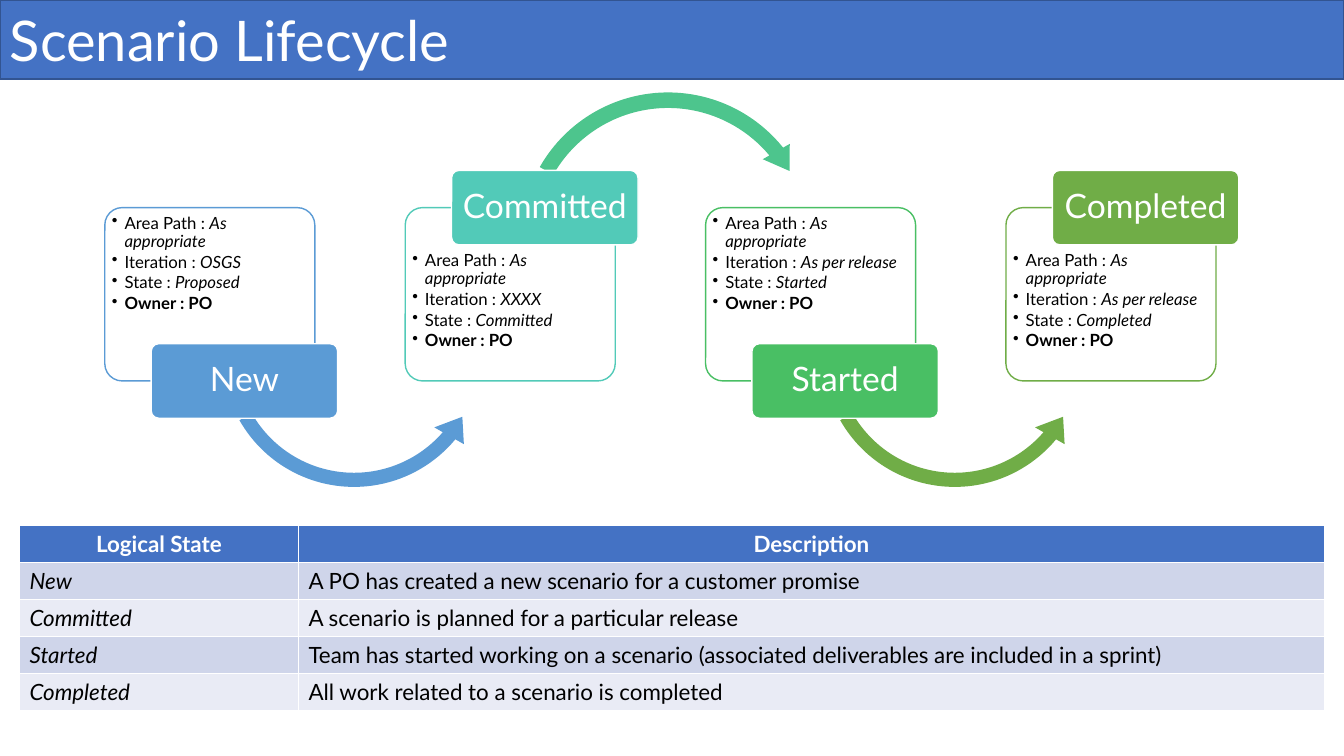
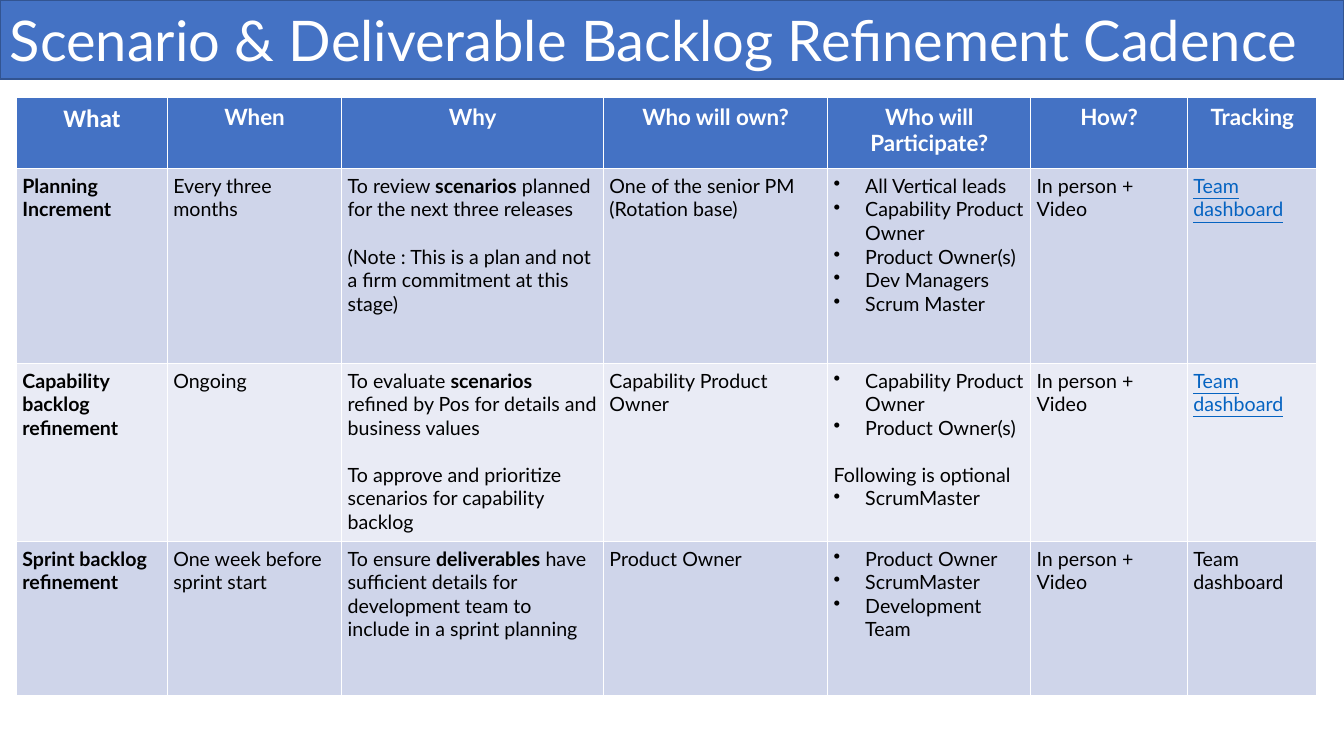
from lxml.etree import SubElement
from pptx import Presentation
from pptx.dml.color import RGBColor
from pptx.enum.shapes import MSO_SHAPE
from pptx.enum.text import MSO_ANCHOR, PP_ALIGN
from pptx.oxml.ns import qn
from pptx.util import Pt

WHITE = RGBColor(0xFF, 0xFF, 0xFF)
BLACK = RGBColor(0, 0, 0)
BLUE = RGBColor(0x44, 0x72, 0xC4)
NAVY = RGBColor(0x32, 0x54, 0x91)
LINK = RGBColor(0x05, 0x63, 0xC1)
DARK = RGBColor(0xCF, 0xD5, 0xEA)
PALE = RGBColor(0xE9, 0xEB, 0xF5)
SKY = RGBColor(0x5B, 0x9B, 0xD5)
TEAL = RGBColor(0x52, 0xCA, 0xB8)
MINT = RGBColor(0x4D, 0xC5, 0x8D)
GREEN = RGBColor(0x49, 0xBF, 0x64)
OLIVE = RGBColor(0x70, 0xAD, 0x47)


def put(frame, lines, size, color=BLACK, mark="bold", indent=0, align=PP_ALIGN.LEFT):
    """Write lines: "•" starts a bullet, "|" a gap above, "*" toggles the mark."""
    frame.word_wrap = True
    for i, line in enumerate(lines):
        para = frame.paragraphs[0] if i == 0 else frame.add_paragraph()
        para.alignment = align
        if line.startswith("|"):
            para.space_before = Pt(16.8)
            line = line[1:]
        if line.startswith("•"):
            props = para._p.get_or_add_pPr()
            props.set("marL", str(Pt(indent)))
            props.set("indent", str(-Pt(indent)))
            SubElement(props, qn("a:buChar")).set("char", "•")
            line = line[1:]
        para.font.name = "Lato"
        para.font.size = Pt(size)
        para.font.color.rgb = color
        for k, part in enumerate(line.split("*")):
            if part:
                run = para.add_run()
                run.text = part
                if k % 2:
                    setattr(run.font, mark, True)


def draw(slide, kind, box, fill, line=None):
    shape = slide.shapes.add_shape(kind, *[Pt(v) for v in box])
    shape.shadow.inherit = False
    shape.fill.solid()
    shape.fill.fore_color.rgb = fill
    if line is None:
        shape.line.fill.background()
    else:
        shape.line.color.rgb = line
        shape.line.width = Pt(1)
    return shape


deck = Presentation()
deck.slide_width = Pt(960)
deck.slide_height = Pt(540)

pages = []
for title in ["Scenario Lifecycle", "Scenario & Deliverable Backlog Refinement Cadence"]:
    page = deck.slides.add_slide(deck.slide_layouts[6])
    band = draw(page, MSO_SHAPE.RECTANGLE, (0, 0, 960, 56.4), BLUE, NAVY)
    band.text_frame.vertical_anchor = MSO_ANCHOR.MIDDLE
    put(band.text_frame, [title], 40, WHITE)
    pages.append(page)
cycle, cadence = pages

states = [
    ("New", "OSGS", "Proposed", SKY, SKY),
    ("Committed", "XXXX", "Committed", TEAL, MINT),
    ("Started", "As per release", "Started", GREEN, OLIVE),
    ("Completed", "As per release", "Completed", OLIVE, None),
]
low = (MSO_SHAPE.LEFT_CIRCULAR_ARROW, 152.6, 202.3, (0.05, 6.4, 24.16, 90.25, 0.06))
high = (MSO_SHAPE.CIRCULAR_ARROW, 60.5, 221.8, (0.05, 5.79, 192.46, 125.76, 0.05))

for i, (name, step, state, color, tint) in enumerate(states):
    left = 74.9 + 214.56 * i
    raised = i % 2 == 1

    card = draw(cycle, MSO_SHAPE.ROUNDED_RECTANGLE, (left, 148.3, 150, 123.8), WHITE, color)
    card.adjustments[0] = 0.1
    frame = card.text_frame
    frame.vertical_anchor = MSO_ANCHOR.TOP
    frame.margin_left = frame.margin_right = Pt(1.5)
    frame.margin_top = Pt(28.1 if raised else 1.5)
    facts = ["•Area Path : *As appropriate*", f"•Iteration : *{step}*",
             f"•State : *{state}*", "•Owner : PO"]
    put(frame, facts, 12, mark="italic", indent=9)
    for para in frame.paragraphs:
        para.line_spacing = 0.9
        para.space_after = Pt(1.8)
    para.font.bold = True

    if tint is not None:
        kind, top, size, bends = high if raised else low
        arrow = draw(cycle, kind, (left + 76.8, top, size, size), tint)
        for k, bend in enumerate(bends):
            arrow.adjustments[k] = bend

    top = 121.7 if raised else 245.5
    label = draw(cycle, MSO_SHAPE.ROUNDED_RECTANGLE, (left + 33.1, top, 133.2, 53.2), color, WHITE)
    label.adjustments[0] = 0.1
    frame = label.text_frame
    frame.margin_left = frame.margin_right = Pt(3.6)
    frame.vertical_anchor = MSO_ANCHOR.MIDDLE
    put(frame, [name], 24, WHITE, align=PP_ALIGN.CENTER)
    frame.paragraphs[0].line_spacing = 0.9

terms = [
    [["Logical State"], ["Description"]],
    [["*New*"], ["A PO has created a new scenario for a customer promise"]],
    [["*Committed*"], ["A scenario is planned for a particular release"]],
    [["*Started*"], ["Team has started working on a scenario "
                     "(associated deliverables are included in a sprint)"]],
    [["*Completed*"], ["All work related to a scenario is completed"]],
]
plan = [
    [["What"], ["When"], ["Why"], ["Who will own?"], ["Who will Participate?"],
     ["How?"], ["Tracking"]],
    [["*Planning Increment*"], ["Every three months"],
     ["To review *scenarios* planned for the next three releases",
      "|(Note : This is a plan and not a firm commitment at this stage)"],
     ["One of the senior PM (Rotation base)"],
     ["•All Vertical leads", "•Capability Product Owner", "•Product Owner(s)",
      "•Dev Managers", "•Scrum Master"],
     ["In person + Video"], ["Team dashboard"]],
    [["*Capability backlog*", "*refinement*"], ["Ongoing"],
     ["To evaluate *scenarios* refined by Pos for details and business values",
      "|To approve and prioritize scenarios for capability backlog"],
     ["Capability Product Owner"],
     ["•Capability Product Owner", "•Product Owner(s)",
      "|Following is optional", "•ScrumMaster"],
     ["In person + Video"], ["Team dashboard"]],
    [["*Sprint backlog*", "*refinement*"], ["One week before sprint start"],
     ["To ensure *deliverables* have sufficient details for development team "
      "to include in a sprint planning"],
     ["Product Owner"],
     ["•Product Owner", "•ScrumMaster", "•Development Team"],
     ["In person + Video"], ["Team dashboard"]],
]
sheets = [
    (cycle, terms, (14, 375.4), [199.2, 733], [26.4] * 5, 16, "italic", 7.2, 3.6),
    (cadence, plan, (11.8, 69.4), [107.8, 124.6, 187, 160.2, 145, 112, 92.4],
     [50.8, 139.2, 127.2, 110.4], 14, "bold", 4.2, 4.2),
]
grids = []
for page, rows, (left, top), wides, highs, size, mark, side, pad in sheets:
    grid = page.shapes.add_table(len(rows), len(wides), Pt(left), Pt(top),
                                 Pt(sum(wides)), Pt(sum(highs))).table
    for col, wide in zip(grid.columns, wides):
        col.width = Pt(wide)
    for r, (row, tall) in enumerate(zip(rows, highs)):
        grid.rows[r].height = Pt(tall)
        for c, lines in enumerate(row):
            cell = grid.cell(r, c)
            cell.margin_left = cell.margin_right = Pt(side)
            cell.margin_top = cell.margin_bottom = Pt(pad)
            cell.fill.solid()
            if r == 0:
                cell.fill.fore_color.rgb = BLUE
                put(cell.text_frame, lines, 16, WHITE, align=PP_ALIGN.CENTER)
                cell.text_frame.paragraphs[0].font.bold = True
            else:
                cell.fill.fore_color.rgb = DARK if r % 2 else PALE
                put(cell.text_frame, lines, size, mark=mark, indent=22.5)
    grids.append(grid)

grid = grids[1]
font = grid.cell(0, 0).text_frame.paragraphs[0].font
font.name = "Calibri"
font.size = Pt(18)
for r in (1, 2):
    font = grid.cell(r, 6).text_frame.paragraphs[0].font
    font.color.rgb = LINK
    font.underline = True

deck.save("out.pptx")
